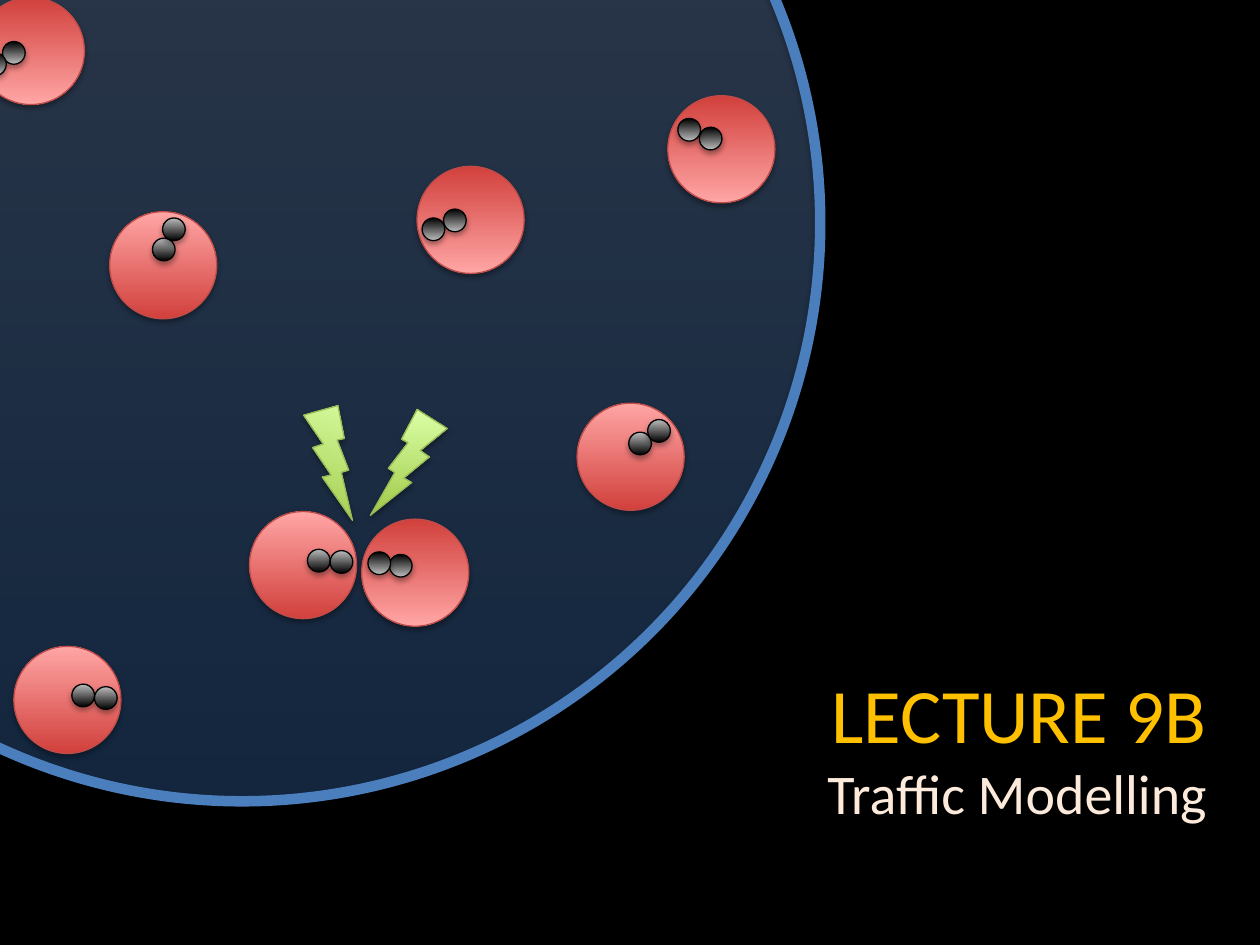
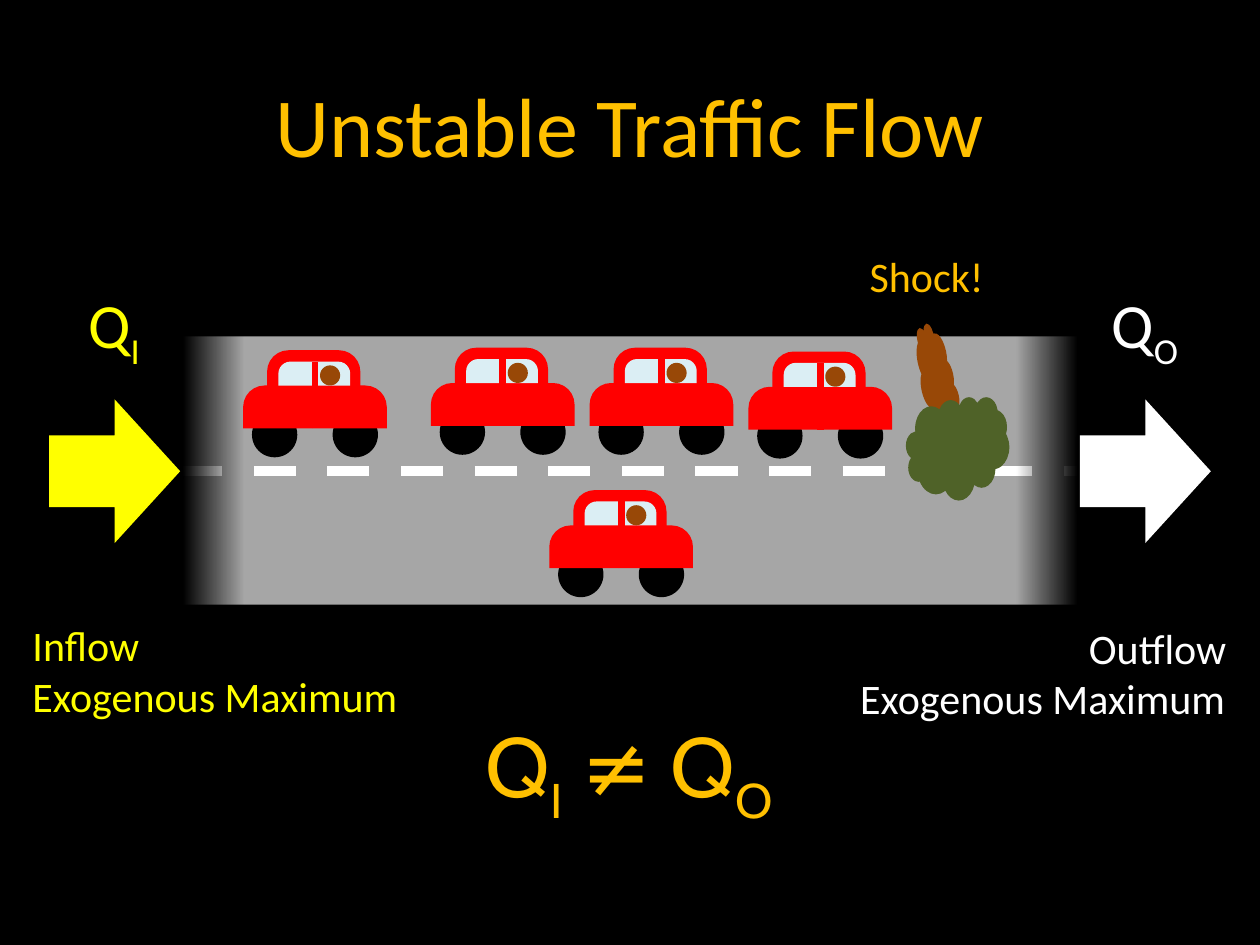
from lxml.etree import SubElement
from pptx import Presentation
from pptx.dml.color import RGBColor
from pptx.enum.dml import MSO_LINE
from pptx.enum.shapes import MSO_CONNECTOR, MSO_SHAPE
from pptx.enum.text import MSO_ANCHOR, PP_ALIGN
from pptx.oxml.ns import qn
from pptx.util import Inches, Pt

BLACK, WHITE, YELLOW, GOLD = "000000", "FFFFFF", "FFFF00", "FFC000"
CREAM, BLUE = "FDEADA", "4B7EBC"
GREY, RED, GLASS, BROWN, GREEN = "A6A6A6", "FF0000", "DBEEF4", "984807", "4F6228"
CELL = dict(stops=[(0, "D1403C"), (100, "FFA6A5")], line="BF4C48")
DOT = dict(stops=[(0, BLACK), (100, "BDBDBD")], line=BLACK)
BOLT = dict(stops=[(0, "A0CA4A"), (100, "DAFFA5")], line="98B955")
LEFT, CENTER, RIGHT = PP_ALIGN.LEFT, PP_ALIGN.CENTER, PP_ALIGN.RIGHT


def rgb(color):
    return RGBColor.from_string(color)


def add_run(p, text, size=24, color=WHITE, font="Calibri", sub=False):
    r = p.add_run()
    r.text = text
    r.font.size, r.font.name = Pt(size), font
    r.font.color.rgb = rgb(color)
    if sub:
        r._r.get_or_add_rPr().set("baseline", "-25000")


def add_color(parent, color, alpha=100):
    clr = SubElement(parent, qn("a:srgbClr"), val=color)
    if alpha < 100:
        SubElement(clr, qn("a:alpha"), val=str(alpha * 1000))


def set_gradient(shape, stops, angle):
    """Fill with stops of (percent, colour[, opacity])."""
    shape.fill.gradient()
    grad = shape._element.spPr.find(qn("a:gradFill"))
    gs_list = grad.find(qn("a:gsLst"))
    for gs in list(gs_list):
        gs_list.remove(gs)
    for pos, *color in stops:
        add_color(SubElement(gs_list, qn("a:gs"), pos=str(pos * 1000)), *color)
    grad.find(qn("a:lin")).set("ang", str(angle * 60000))


def add_shadow(shape):
    effects = shape._element.spPr.find(qn("a:effectLst"))
    shadow = SubElement(effects, qn("a:outerShdw"), blurRad=str(Pt(3.1)),
                        dist=str(Pt(1.8)), dir="5400000", rotWithShape="0")
    add_color(shadow, BLACK, 35)


class Deck:
    def __init__(self):
        self.prs = Presentation()
        self.prs.slide_width, self.prs.slide_height = Inches(10), Inches(7.5)
        fill = self.prs.slide_master.background.fill
        fill.solid()
        fill.fore_color.rgb = rgb(BLACK)

    def slide(self):
        self.s = self.prs.slides.add_slide(self.prs.slide_layouts[5])

    def title(self, box, lines, align):
        """Fill the title with lines of (text, size, colour)."""
        title = self.s.shapes.title
        title.left, title.top, title.width, title.height = map(Inches, box)
        tf = title.text_frame
        tf.vertical_anchor = MSO_ANCHOR.MIDDLE
        p = tf.paragraphs[0]
        p.alignment = align
        for i, (text, size, color) in enumerate(lines):
            if i:
                p.add_line_break()
            add_run(p, text, size, color)

    def text(self, box, *paragraphs, **fmt):
        """Add paragraphs of (alignment, text, text...); every second text is a subscript."""
        tf = self.s.shapes.add_textbox(*map(Inches, box)).text_frame
        tf.word_wrap = True
        for i, (align, *texts) in enumerate(paragraphs):
            p = tf.add_paragraph() if i else tf.paragraphs[0]
            p.alignment = align
            for n, text in enumerate(texts):
                add_run(p, text, sub=n % 2 == 1, **fmt)

    def shape(self, kind, box, fill=None, stops=None, angle=270, line=None,
              width=0.75, shadow=False, rot=0, flip=False, adj=()):
        sp = self.s.shapes.add_shape(kind, *map(Inches, box))
        sp.shadow.inherit = False
        sp.rotation = rot
        for i, value in enumerate(adj):
            sp.adjustments[i] = value
        if stops:
            set_gradient(sp, stops, angle)
        elif fill:
            sp.fill.solid()
            sp.fill.fore_color.rgb = rgb(fill)
        else:
            sp.fill.background()
        if line:
            sp.line.color.rgb = rgb(line)
            sp.line.width = Pt(width)
        else:
            sp.line.fill.background()
        if shadow:
            add_shadow(sp)
        if flip:
            sp._element.spPr.find(qn("a:xfrm")).set("flipH", "1")

    def line(self, ends, color, width, dash=None):
        cx = self.s.shapes.add_connector(MSO_CONNECTOR.STRAIGHT, *map(Inches, ends))
        cx.line.color.rgb = rgb(color)
        cx.line.width = Pt(width)
        if dash:
            cx.line.dash_style = dash
        SubElement(cx._element.spPr, qn("a:effectLst"))

    def cell(self, x, y, dots, angle):
        """Draw a red disc with two dark dots, shaded along the angle."""
        self.shape(MSO_SHAPE.OVAL, (x, y, 0.85, 0.85), angle=angle, shadow=True, **CELL)
        for dx, dy in dots:
            self.shape(MSO_SHAPE.OVAL, (dx, dy, 0.18, 0.18), angle=angle, shadow=True, **DOT)

    def car(self, x, y):
        """Draw a car whose body has its top left corner at x, y."""
        for dx in (0.07, 0.71):
            self.shape(MSO_SHAPE.OVAL, (x + dx, y + 0.21, 0.36, 0.36), BLACK)
        for dx, dy, w, h, color in ((0, 0, 1.14, 0.34, RED),
                                    (0.19, -0.28, 0.74, 0.34, RED),
                                    (0.28, -0.19, 0.57, 0.19, GLASS)):
            self.shape(MSO_SHAPE.ROUND_2_SAME_RECTANGLE, (x + dx, y + dy, w, h),
                       color, adj=(0.5, 0))
        self.line((x + 0.57, y + 0.34, x + 0.57, y - 0.19), RED, 4)
        self.shape(MSO_SHAPE.OVAL, (x + 0.61, y - 0.16, 0.16, 0.16), BROWN)


def lecture_slide(deck):
    deck.slide()
    deck.title((0, 4.34, 9.68, 3.16),
               [("LECTURE 9B", 44, GOLD), ("Traffic Modelling", 32, CREAM)], RIGHT)
    dish = (-2.67, -2.82, 9.18, 9.18)
    deck.shape(MSO_SHAPE.OVAL, dish, stops=[(0, "3F80CE", 29), (100, "A4C4FF", 29)],
               line=BLUE)
    deck.shape(MSO_SHAPE.OVAL, dish, line=BLUE, width=6, shadow=True)
    for x, y, dots, angle in (
            (-0.18, -0.02, [(0.02, 0.33), (-0.13, 0.42)], 90),
            (3.31, 1.32, [(3.52, 1.66), (3.35, 1.73)], 90),
            (1.98, 4.06, [(2.44, 4.36), (2.62, 4.37)], 270),
            (0.87, 1.68, [(1.21, 1.89), (1.29, 1.73)], 270),
            (0.11, 5.13, [(0.57, 5.43), (0.75, 5.45)], 270),
            (4.58, 3.2, [(4.99, 3.43), (5.14, 3.33)], 270),
            (5.3, 0.76, [(5.55, 1.01), (5.38, 0.94)], 90),
            (2.87, 4.12, [(3.09, 4.4), (2.92, 4.38)], 90)):
        deck.cell(x, y, dots, angle)
    deck.shape(MSO_SHAPE.LIGHTNING_BOLT, (2.32, 3.22, 0.61, 0.84), rot=16.6,
               shadow=True, **BOLT)
    deck.shape(MSO_SHAPE.LIGHTNING_BOLT, (2.94, 3.25, 0.61, 0.84), flip=True,
               shadow=True, **BOLT)


def traffic_slide(deck):
    deck.slide()
    deck.title((0, 0, 10, 1.97), [("Unstable Traffic Flow", 48, GOLD)], CENTER)

    deck.shape(MSO_SHAPE.RECTANGLE, (1.43, 2.67, 7.15, 2.13), GREY, shadow=True)
    deck.line((1.43, 3.74, 8.57, 3.74), WHITE, 6, MSO_LINE.DASH)
    fade_left = [(0, BLACK), (75, BLACK), (100, BLACK, 0)]
    fade_right = [(0, BLACK, 0), (25, BLACK), (100, BLACK)]
    for x, stops in ((0, fade_left), (8.07, fade_right)):
        deck.shape(MSO_SHAPE.RECTANGLE, (x, 0, 1.93, 7.5), stops=stops, angle=0)

    for x, color in ((0.39, YELLOW), (8.57, WHITE)):
        deck.shape(MSO_SHAPE.RIGHT_ARROW, (x, 3.17, 1.04, 1.14), color, shadow=True)
    deck.text((0.53, 2.22, 0.75, 0.71), (CENTER, "Q", "I"), size=36, color=YELLOW)
    deck.text((8.64, 2.22, 0.89, 0.71), (CENTER, "Q", "O"), size=36)

    for x, y in ((4.68, 3.04), (4.36, 4.17), (5.94, 3.07), (3.42, 3.04), (1.93, 3.06)):
        deck.car(x, y)
    deck.shape(MSO_SHAPE.CLOUD, (6.95, 2.92, 1, 0.28), BROWN, rot=77.8)
    deck.shape(MSO_SHAPE.CLOUD, (7.19, 3.15, 0.82, 0.82), GREEN)

    deck.text((3.03, 5.61, 3.93, 0.91), (CENTER, "Q", "I", " ≠ Q", "O"),
              size=48, color=GOLD, font="Cabin")
    deck.text((6.42, 1.94, 1.87, 0.5), (CENTER, "Shock!"), color=GOLD)
    deck.text((0.16, 4.87, 3.23, 0.91), (LEFT, "Inflow"), (LEFT, "Exogenous Maximum"),
              color=YELLOW)
    deck.text((6.72, 4.89, 3.11, 0.91), (RIGHT, "Outflow"), (CENTER, "Exogenous Maximum"))


def main():
    deck = Deck()
    lecture_slide(deck)
    traffic_slide(deck)
    deck.prs.save("out.pptx")


if __name__ == "__main__":
    main()
